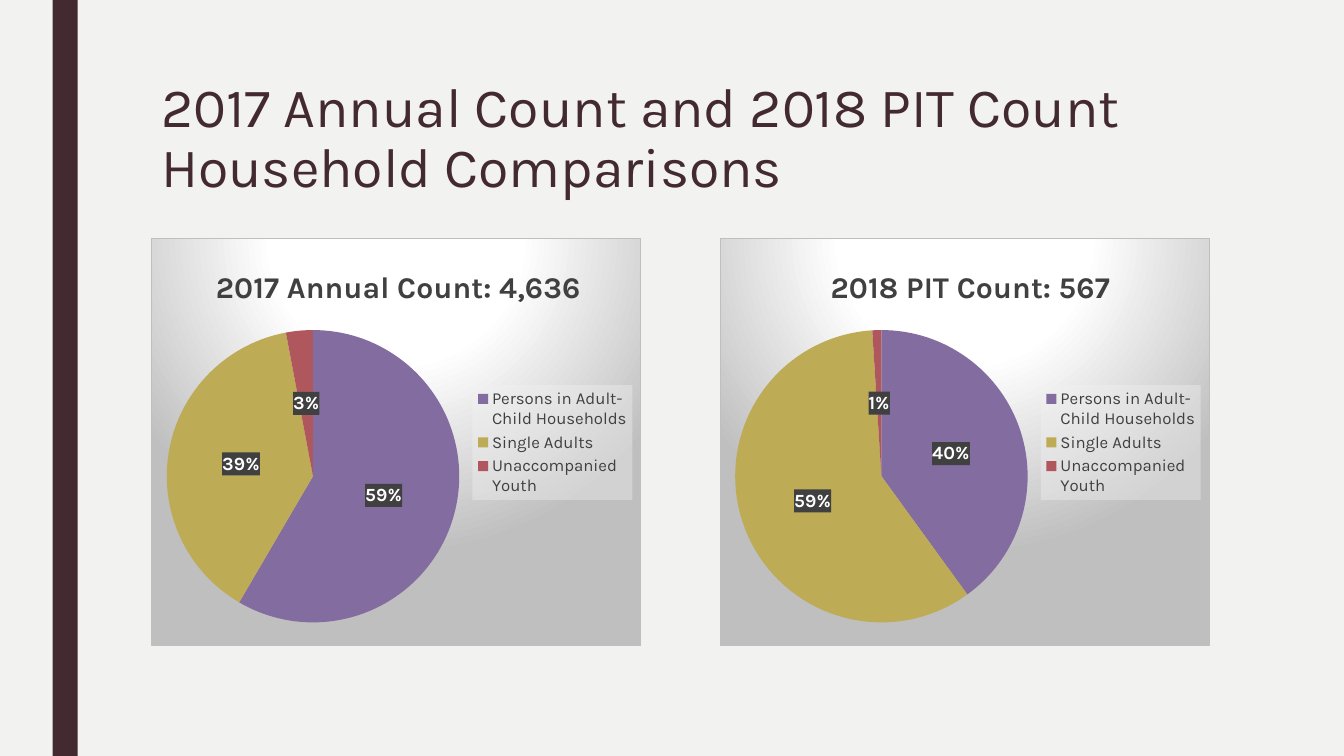
"""Build a slide that compares household counts in two pie charts."""
from lxml.etree import fromstring
from pptx import Presentation
from pptx.chart.data import CategoryChartData
from pptx.dml.color import RGBColor
from pptx.enum.chart import XL_CHART_TYPE, XL_LABEL_POSITION, XL_LEGEND_POSITION
from pptx.enum.shapes import MSO_SHAPE
from pptx.oxml.ns import nsdecls, qn
from pptx.util import Pt

FONT = "Karla"
COLORS = {
    "background": "F2F2F0",
    "accent": "432A30",
    "text": "404040",
    "label": "FFFFFF",
    "panel_light": "FFFFFF",
    "panel_dark": "BFBFBF",
    "legend": "F2F2F2",
}
HOUSEHOLDS = {
    "Persons in Adult-Child Households": "836C9F",
    "Single Adults": "BDAB56",
    "Unaccompanied Youth": "B0565D",
}
COUNTS = [
    ("2017 Annual Count: 4,636", 0.12, (59, 39, 3)),
    ("2018 PIT Count: 567", 0.215, (40, 59, 1)),
]
CHART_LEFT, CHART_TOP, CHART_WIDTH, CHART_HEIGHT = 108, 170, 350, 291.6
CHART_STEP = 406


def rgb(name):
    return RGBColor.from_string(COLORS[name])


def style_font(font, size, color, bold=False):
    font.name = FONT
    font.size = Pt(size)
    font.bold = bold
    font.color.rgb = rgb(color)


def write_text(frame, text, size, color, bold=False, spacing=None):
    frame.text = text
    paragraph = frame.paragraphs[0]
    if spacing:
        paragraph.line_spacing = spacing
    style_font(paragraph.font, size, color, bold)
    for run in paragraph.runs:
        style_font(run.font, size, color, bold)


def add_bar(slide):
    bar = slide.shapes.add_shape(MSO_SHAPE.RECTANGLE, Pt(37.5), 0, Pt(18), Pt(540))
    bar.shadow.inherit = False
    bar.fill.solid()
    bar.fill.fore_color.rgb = rgb("accent")
    bar.line.fill.background()


def add_title(slide, text):
    title = slide.shapes.add_textbox(Pt(108), Pt(54), Pt(756), Pt(62.6))
    title.text_frame.word_wrap = True
    write_text(title.text_frame, text, size=39.6, color="accent", spacing=0.89)


def chart_xml(tag, content):
    return fromstring(f'<c:{tag} {nsdecls("c", "a")}>{content}</c:{tag}>')


def solid_fill(color, alpha):
    return chart_xml("spPr", f'<a:solidFill><a:srgbClr val="{COLORS[color]}">'
                             f'<a:alpha val="{alpha * 1000}"/></a:srgbClr></a:solidFill>')


def set_layout(parent, index, **measures):
    for layout in parent.findall(qn("c:layout")):
        parent.remove(layout)
    modes = '<c:xMode val="edge"/><c:yMode val="edge"/>'
    values = "".join(f'<c:{key} val="{value}"/>' for key, value in measures.items())
    target = '<c:layoutTarget val="inner"/>' if parent.tag == qn("c:plotArea") else ""
    layout = f"<c:manualLayout>{target}{modes}{values}</c:manualLayout>"
    parent.insert(index, chart_xml("layout", layout))


def paint_panel(chart):
    stops = [(0, "panel_light"), (39, "panel_light"), (100, "panel_dark")]
    gradient = "".join(f'<a:gs pos="{position * 1000}"><a:srgbClr val="{COLORS[name]}"/></a:gs>'
                       for position, name in stops)
    panel = chart_xml("spPr", f"""<a:gradFill><a:gsLst>{gradient}</a:gsLst>
        <a:path path="circle"><a:fillToRect l="50000" t="-80000" r="50000" b="180000"/></a:path>
        </a:gradFill><a:ln w="9525"><a:solidFill>
        <a:srgbClr val="{COLORS['panel_dark']}"/></a:solidFill></a:ln>""")
    body = chart.element.find(qn("c:chart"))
    body.addnext(panel)
    corners = chart_xml("roundedCorners", "")
    corners.set("val", "0")
    body.addprevious(corners)


def style_legend(chart):
    chart.has_legend = True
    legend = chart.legend
    legend.position = XL_LEGEND_POSITION.RIGHT
    legend.include_in_layout = False
    style_font(legend.font, 12, "text")
    element = chart.element.find(".//" + qn("c:legend"))
    set_layout(element, 1, x=0.656, y=0.36, w=0.327, h=0.282)
    element.find(qn("c:txPr")).addprevious(solid_fill("legend", 39))


def style_labels(plot):
    plot.has_data_labels = True
    labels = plot.data_labels
    labels.show_value = True
    labels.show_percentage = False
    labels.number_format = '0"%"'
    labels.number_format_is_linked = False
    labels.position = XL_LABEL_POSITION.CENTER
    style_font(labels.font, 13.3, "label", bold=True)
    element = plot.data_labels.font._element.getparent().getparent().getparent()
    element.addprevious(solid_fill("text", 90))


def add_pie(slide, left, heading, heading_x, shares):
    data = CategoryChartData()
    data.categories = list(HOUSEHOLDS)
    data.add_series("Series 1", shares)
    chart = slide.shapes.add_chart(XL_CHART_TYPE.PIE, Pt(left), Pt(CHART_TOP),
                                   Pt(CHART_WIDTH), Pt(CHART_HEIGHT), data).chart
    style_font(chart.font, 10, "text")
    chart.has_title = True
    write_text(chart.chart_title.text_frame, heading, size=21.6, color="text", bold=True)
    set_layout(chart.element.find(".//" + qn("c:title")), 1, x=heading_x, y=0.055)
    set_layout(chart.element.find(".//" + qn("c:plotArea")), 0, x=0.03, y=0.225, w=0.6, h=0.718)
    plot = chart.plots[0]
    plot.vary_by_categories = True
    for index, color in enumerate(HOUSEHOLDS.values()):
        fill = plot.series[0].points[index].format.fill
        fill.solid()
        fill.fore_color.rgb = RGBColor.from_string(color)
    style_labels(plot)
    style_legend(chart)
    paint_panel(chart)


def main():
    deck = Presentation()
    deck.slide_width, deck.slide_height = Pt(960), Pt(540)
    slide = deck.slides.add_slide(deck.slide_layouts[6])
    slide.background.fill.solid()
    slide.background.fill.fore_color.rgb = rgb("background")
    add_bar(slide)
    add_title(slide, "2017 Annual Count and 2018 PIT Count\vHousehold Comparisons")
    for column, (heading, heading_x, shares) in enumerate(COUNTS):
        add_pie(slide, CHART_LEFT + column * CHART_STEP, heading, heading_x, shares)
    deck.save("out.pptx")


if __name__ == "__main__":
    main()
